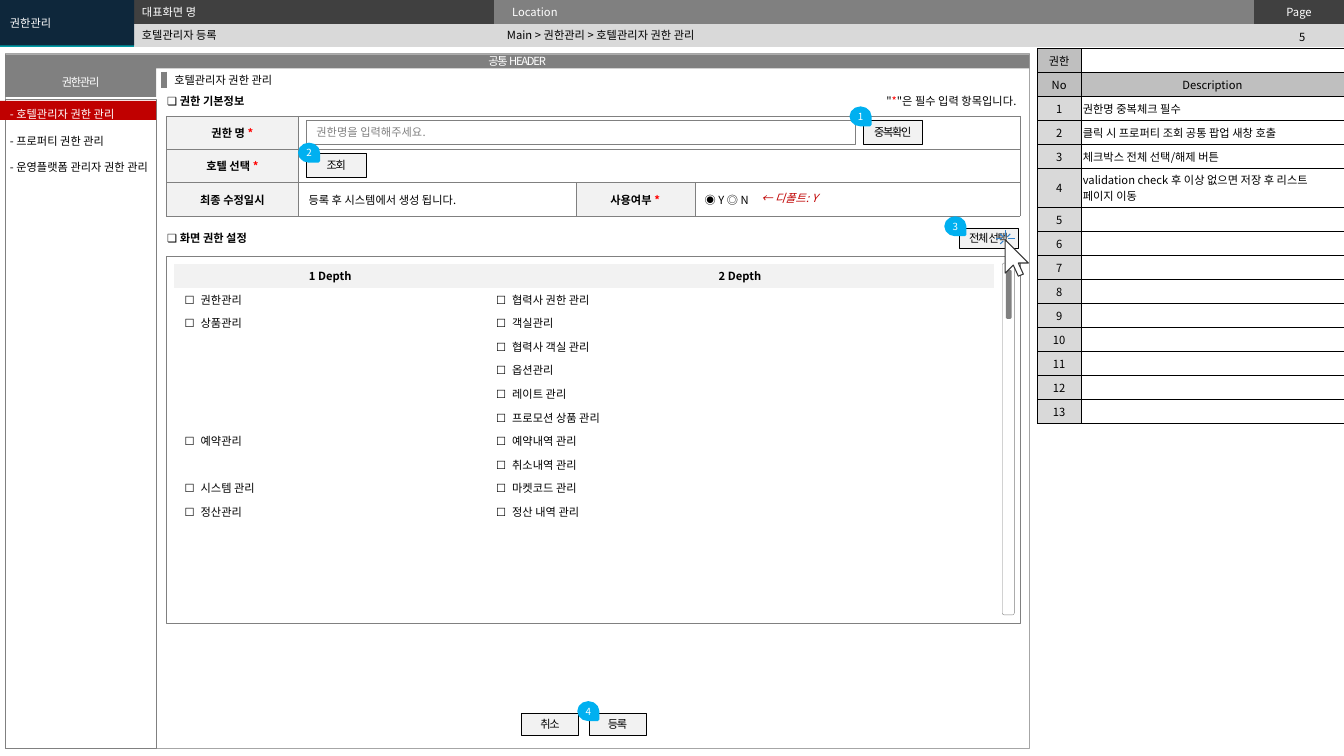
from lxml import etree
from pptx import Presentation
from pptx.dml.color import RGBColor
from pptx.enum.shapes import MSO_CONNECTOR, MSO_SHAPE
from pptx.enum.text import MSO_ANCHOR, PP_ALIGN
from pptx.oxml.ns import qn
from pptx.util import Inches, Pt

RECT, ROUND, TEARDROP = MSO_SHAPE.RECTANGLE, MSO_SHAPE.ROUNDED_RECTANGLE, MSO_SHAPE.TEAR
LEFT, CENTER, RIGHT = PP_ALIGN.LEFT, PP_ALIGN.CENTER, PP_ALIGN.RIGHT
TOP, MIDDLE = MSO_ANCHOR.TOP, MSO_ANCHOR.MIDDLE
FONT = "Noto Sans CJK KR"
BLACK, WHITE, GRAY, PALE, RED = "000000", "FFFFFF", "808080", "F2F2F2", "FF0000"
rgb = RGBColor.from_string

prs = Presentation()
prs.slide_width, prs.slide_height = Inches(13.33), Inches(7.5)
slide = prs.slides.add_slide(prs.slide_layouts[6])
shapes = slide.shapes


def write(frame, text, color=BLACK, size=8, bold=False, italic=False, align=LEFT, spacing=0):
    """Fill a text frame line by line; a required-field asterisk turns red."""
    for number, line in enumerate(text.split("\n")):
        para = frame.add_paragraph() if number else frame.paragraphs[0]
        para.alignment = align
        if not line:
            para._p.get_or_add_endParaRPr().set("sz", str(size * 100))
        for piece in filter(None, line.partition("*")):
            run = para.add_run()
            run.text = piece
            run.font.size, run.font.bold, run.font.italic = Pt(size), bold, italic
            run.font.color.rgb = rgb(RED if piece == "*" else color)
            run.font.name = FONT
            props = run.font._element
            etree.SubElement(props, qn("a:ea")).set("typeface", FONT)
            if spacing:
                props.set("spc", str(round(spacing * 100)))


def box(x, y, w, h, text="", fill=None, line=None, weight=0.25, kind=RECT,
        anchor=MIDDLE, inset=0.1, **style):
    """Draw a preset shape, or a text box when it has neither fill nor line."""
    place = [Inches(v) for v in (x, y, w, h)]
    if fill or line:
        shape = shapes.add_shape(kind, *place)
        shape.shadow.inherit = False
        if fill:
            shape.fill.solid()
            shape.fill.fore_color.rgb = rgb(fill)
        else:
            shape.fill.background()
        if line:
            shape.line.color.rgb = rgb(line)
            shape.line.width = Pt(weight)
        else:
            shape.line.fill.background()
    else:
        shape = shapes.add_textbox(*place)
    frame = shape.text_frame
    frame.word_wrap, frame.vertical_anchor = True, anchor
    frame.margin_left = frame.margin_right = Inches(inset)
    frame.margin_top = frame.margin_bottom = Inches(min(inset, 0.05))
    write(frame, text, **style)
    return shape


# Table contents: each cell is (text, fill, colour, bold, alignment)
title_cells = [
    [("", "009CA6"), ("", "404040"), ("Location", GRAY, WHITE),
     ("Page", "404040", WHITE, False, CENTER)],
    [("", "009CA6")] + [("", "D9D9D9")] * 3,
]

notes = ["권한명 중복체크 필수", "클릭 시 프로퍼티 조회 공통 팝업 새창 호출",
         "체크박스 전체 선택/해제 버튼",
         "validation check 후 이상 없으면 저장 후 리스트\n페이지 이동"] + [""] * 9
note_cells = [
    [("권한", "BFBFBF", BLACK, False, CENTER), ("", WHITE)],
    [(head, "BFBFBF", BLACK, False, CENTER) for head in ("No", "Description")],
] + [[(str(n), "D9D9D9", BLACK, False, CENTER), (note, WHITE)]
     for n, note in enumerate(notes, 1)]
note_rows = [0.39 if "\n" in row[1][0] else 3.33 / 14 for row in note_cells]

form_cells = [
    [("권한 명 *", PALE, BLACK, True, CENTER)] + [("", WHITE)] * 3,
    [("호텔 선택 *", PALE, BLACK, True, CENTER)] + [("", WHITE)] * 3,
    [("최종 수정일시", PALE, BLACK, True, CENTER), ("등록 후 시스템에서 생성 됩니다.", WHITE),
     ("사용여부 *", PALE, BLACK, True, CENTER), ("◉ Y ◎ N", WHITE)],
]

menus = [("권한관리", "협력사 권한 관리"), ("상품관리", "객실관리"), ("", "협력사 객실 관리"),
         ("", "옵션관리"), ("", "레이트 관리"), ("", "프로모션 상품 관리"),
         ("예약관리", "예약내역 관리"), ("", "취소내역 관리"),
         ("시스템 관리", "마켓코드 관리"), ("정산관리", "정산 내역 관리"), ("", ""), ("", "")]
depth_cells = [[(f"{n} Depth", PALE, BLACK, True, CENTER) for n in (1, 2)]] + [
    [(f"☐\t{menu}" if menu else "", WHITE) for menu in pair] for pair in menus]

# Outer frame and left menu panel lie under the tables
box(0.05, 0.53, 10.16, 6.89, line="A6A6A6")
box(0.05, 0.98, 1.5, 6.44, line=GRAY)

# Tables: left, top, columns, rows, cells, border, side inset, merged ranges
tables = [
    (0, 0, [1.33, 3.57, 7.54, 0.89], [0.235] * 2, title_cells, None, 0.18, [(0, 0, 1, 0)]),
    (10.29, 0.48, [0.43, 2.61], note_rows, note_cells, (BLACK, 0.5), 0.02, []),
    (1.65, 1.15, [1.31, 2.75, 1.18, 3.23], [0.33] * 3, form_cells, (GRAY, 0.25), 0.1,
     [(0, 1, 0, 3), (1, 1, 1, 3)]),
    (1.73, 2.62, [3.09, 5.04], [3.04 / 13] * 13, depth_cells, None, 0.1, []),
]
for x, y, cols, rows, cells, border, inset, merges in tables:
    table = shapes.add_table(len(rows), len(cols), Inches(x), Inches(y),
                             Inches(sum(cols)), Inches(sum(rows))).table
    for column, width in zip(table.columns, cols):
        column.width = Inches(width)
    for r, values in enumerate(cells):
        table.rows[r].height = Inches(rows[r])
        for c, (text, fill, *style) in enumerate(values):
            cell = table.cell(r, c)
            cell.margin_left = cell.margin_right = Inches(inset)
            cell.margin_top = cell.margin_bottom = Inches(0.03)
            cell.vertical_anchor = MIDDLE
            color, bold, align = style + [BLACK, False, LEFT][len(style):]
            write(cell.text_frame, text, color, bold=bold, align=align)
            if "\t" in text:
                hanging = cell.text_frame.paragraphs[0]._p.get_or_add_pPr()
                hanging.set("marL", str(Inches(0.16)))
                hanging.set("indent", str(-Inches(0.16)))
            for side in ("lnL", "lnR", "lnT", "lnB"):
                edge = etree.SubElement(cell._tc.get_or_add_tcPr(), qn(f"a:{side}"))
                if border:
                    edge.set("w", str(Pt(border[1])))
                    paint = etree.SubElement(edge, qn("a:solidFill"))
                    etree.SubElement(paint, qn("a:srgbClr")).set("val", border[0])
                else:
                    etree.SubElement(edge, qn("a:noFill"))
            cell.fill.solid()
            cell.fill.fore_color.rgb = rgb(fill)
    for top, left, bottom, right in merges:
        table.cell(top, left).merge(table.cell(bottom, right))

# Title bar texts
box(0, 0, 1.33, 0.45, "권한관리", fill="0E273B", color=WHITE)
box(1.31, 0, 3.62, 0.24, "대표화면 명", color=WHITE)
box(1.31, 0.24, 3.63, 0.22, "호텔관리자 등록")
box(4.93, 0.23, 7.38, 0.24, "Main > 권한관리 > 호텔관리자 권한 관리")
box(12.48, 0.25, 0.87, 0.24, "5", align=CENTER)

# Common header and left menu
for y, w, h, label in [(0.54, 10.16, 0.14, "공통 HEADER"), (0.67, 1.5, 0.29, "권한관리")]:
    box(0.05, y, w, h, label, fill=GRAY, inset=0.04, color=WHITE, align=CENTER, spacing=-0.9)
box(0, 1, 1.55, 0.19, fill="C00000")
menu = box(0, 0.88, 1.62, 0.87, "- 호텔관리자 권한 관리\n- 프로퍼티 권한 관리\n- 운영플랫폼 관리자 권한 관리",
           anchor=TOP)
for para in menu.text_frame.paragraphs:
    para.line_spacing = 2.0
menu.text_frame.paragraphs[0].runs[0].font.color.rgb = rgb(WHITE)

# Section headings
marker = shapes.add_connector(MSO_CONNECTOR.STRAIGHT, Inches(1.63), Inches(0.71),
                              Inches(1.63), Inches(0.87))
marker.line.color.rgb, marker.line.width = rgb(GRAY), Pt(4.5)
etree.SubElement(marker._element.spPr, qn("a:effectLst"))
box(1.63, 0.67, 2.41, 0.24, "호텔관리자 권한 관리")
for y, heading in [(0.88, "❏ 권한 기본정보"), (2.24, "❏ 화면 권한 설정")]:
    box(1.56, y, 1.8, 0.24, heading, bold=True)
box(8.53, 0.88, 1.65, 0.24, '"*"은 필수 입력 항목입니다.', align=RIGHT)

# Form input and default hint
box(3.04, 1.19, 5.44, 0.24, "권한명을 입력해주세요.", fill=WHITE, line=GRAY, color=GRAY)
box(7.45, 1.84, 1, 0.24, "← 디폴트: Y", color="C00000", italic=True)

# Permission list frame and scroll bar
box(1.65, 2.54, 8.47, 3.64, line=GRAY)
box(9.94, 2.61, 0.12, 3.49, fill=WHITE, line=GRAY, kind=ROUND)
box(9.99, 2.69, 0.03, 0.46, fill=GRAY, line=GRAY, weight=2, kind=ROUND)

# Buttons
for x, y, w, h, label in [(8.56, 1.19, 0.59, 0.24, "중복확인"), (3.04, 1.52, 0.59, 0.24, "조회"),
                          (9.51, 2.26, 0.59, 0.2, "전체 선택"),
                          (5.17, 7.08, 0.57, 0.21, "취소"), (5.84, 7.08, 0.57, 0.21, "등록")]:
    box(x, y, w, h, label, fill=PALE, line=BLACK, inset=0, align=CENTER, spacing=-0.9)

# Mouse pointer and click rays
arrow = [(10.15, 2.72), (10.1, 2.61), (10.2, 2.61), (9.97, 2.38), (9.97, 2.71),
         (10.05, 2.63), (10.1, 2.74)]
rays = [[(9.95, 2.39), (9.92, 2.42)], [(9.95, 2.35), (9.92, 2.32)], [(9.99, 2.35), (10.02, 2.32)],
        [(9.94, 2.37), (9.88, 2.37)], [(9.97, 2.34), (9.97, 2.28)], [(10, 2.37), (10.07, 2.37)]]
for strokes, closed, color in [([arrow], True, "333333"), (rays, False, "3483CB")]:
    strokes = [[(Inches(x), Inches(y)) for x, y in stroke] for stroke in strokes]
    builder = shapes.build_freeform(*strokes[0][0])
    for number, (start, *rest) in enumerate(strokes):
        if number:
            builder.move_to(*start)
        builder.add_line_segments(rest, close=closed)
    outline = builder.convert_to_shape()
    outline.shadow.inherit = False
    outline.line.color.rgb, outline.line.width = rgb(color), Pt(0.75)
    if closed:
        outline.fill.solid()
        outline.fill.fore_color.rgb = rgb(WHITE)
    else:
        outline.fill.background()

# Numbered callouts, tip pointing to the lower right
for number, (x, y) in enumerate([(8.45, 1.06), (2.98, 1.42), (9.39, 2.15), (5.75, 6.96)], 1):
    callout = box(x, y, 0.17, 0.19, str(number), fill="00B0F0", line="00B0F0", weight=2,
                  kind=TEARDROP, inset=0, size=7, color=WHITE, align=CENTER)
    callout.rotation = 90
    callout.text_frame._txBody.bodyPr.set("vert", "vert270")

prs.save("out.pptx")
